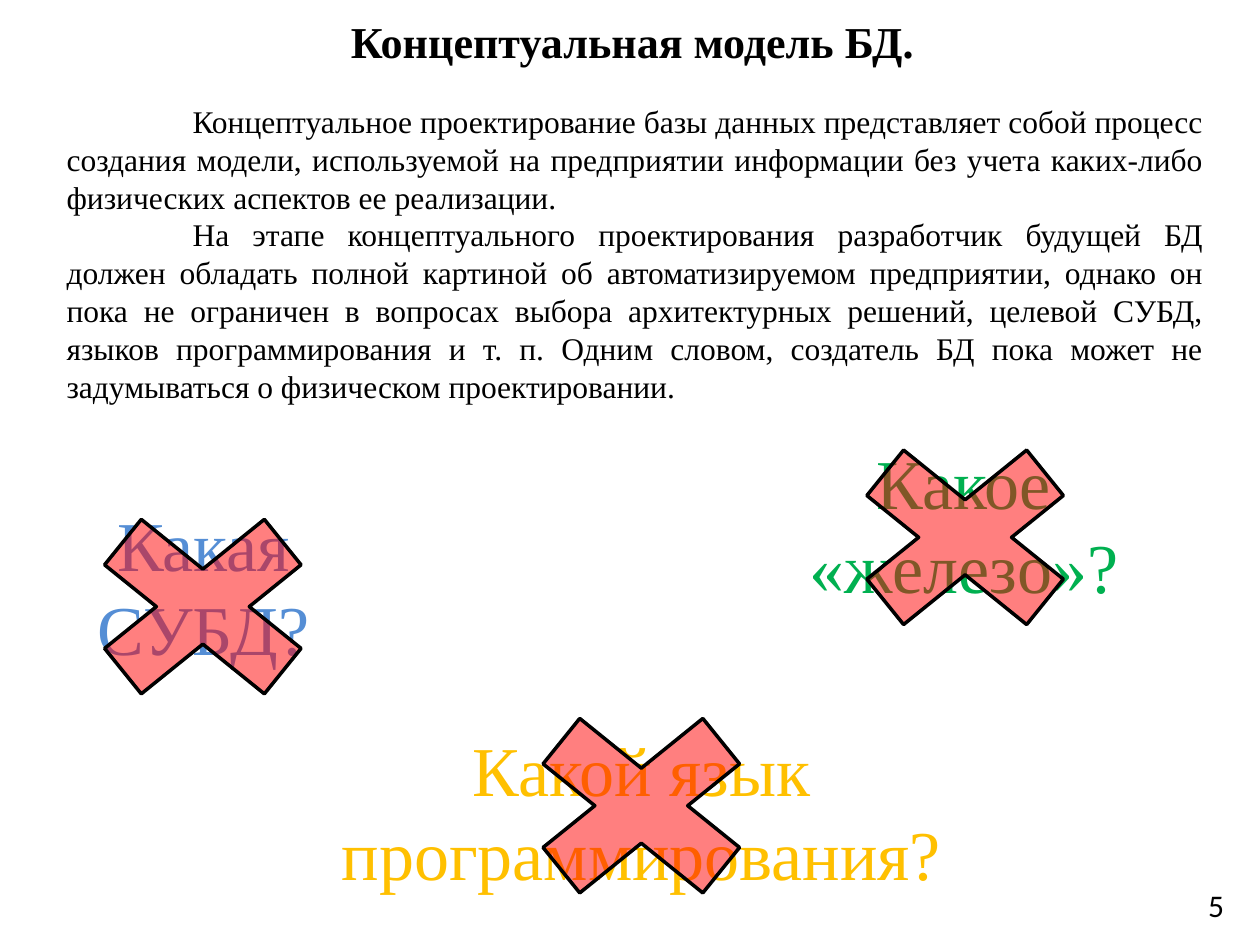
from lxml import etree
from pptx import Presentation
from pptx.dml.color import RGBColor
from pptx.enum import shapes, text
from pptx.oxml import ns
from pptx.util import Emu, Inches, Pt

COLORS = {
    "black": "000000",
    "blue": "558ED5",
    "green": "00B050",
    "amber": "FFC000",
    "red": "FF0000",
}
SERIF = "Times New Roman"

presentation = Presentation()
presentation.slide_width = Inches(10)
presentation.slide_height = Inches(7.5)
COLUMN = presentation.slide_width / 100
ROW = presentation.slide_height / 75
slide = presentation.slides.add_slide(presentation.slide_layouts[5])


def grid(left, top, width, height):
    return Emu(int(left * COLUMN)), Emu(int(top * ROW)), Emu(int(width * COLUMN)), Emu(int(height * ROW))


def write(shape, paragraphs, size, color="black", font=SERIF, bold=False,
          align=text.PP_ALIGN.CENTER, anchor=text.MSO_ANCHOR.TOP, wrap=True, indent=0):
    frame = shape.text_frame
    frame.text = "\n".join(paragraphs)
    frame.word_wrap = wrap
    frame.vertical_anchor = anchor
    for paragraph in frame.paragraphs:
        paragraph.alignment = align
        paragraph._p.get_or_add_pPr().set("indent", str(Inches(indent)))
        run_font = paragraph.runs[0].font
        run_font.name = font
        run_font.size = Pt(size)
        run_font.bold = bold
        run_font.color.rgb = RGBColor.from_string(COLORS[color])


title = slide.shapes.title
title.left, title.top, title.width, title.height = grid(2.2, 0.5, 96, 5.5)
write(title, ["Концептуальная модель БД."], size=25.2, bold=True, anchor=text.MSO_ANCHOR.MIDDLE)

page_number = slide.shapes.add_textbox(*grid(94.9, 69.8, 3.3, 4))
write(page_number, ["5"], size=18, font="Calibri", align=text.PP_ALIGN.LEFT, wrap=False)

body = slide.shapes.add_textbox(*grid(4.3, 7.6, 92.2, 25.2))
write(body, [
    "Концептуальное проектирование базы данных представляет собой процесс создания модели, "
    "используемой на предприятии информации без учета каких-либо физических аспектов ее реализации. ",
    "На этапе концептуального проектирования разработчик будущей БД должен обладать полной картиной "
    "об автоматизируемом предприятии, однако он пока не ограничен в вопросах выбора архитектурных "
    "решений, целевой СУБД, языков программирования и т. п. Одним словом, создатель БД пока может "
    "не задумываться о физическом проектировании.",
], size=18, align=text.PP_ALIGN.JUSTIFY, indent=1)

questions = [
    ("Какая СУБД?", "blue", (6.7, 39.3, 18.9), (3.9, 38.3)),
    ("Какое «железо»?", "green", (59.4, 34.4, 34.2), (64.4, 32.8)),
    ("Какой язык программирования?", "amber", (25.7, 57.2, 50.4), (38.7, 54.1)),
]
for question, color, question_place, cross_place in questions:
    question_box = slide.shapes.add_textbox(*grid(*question_place, 14.5))
    write(question_box, [question], size=40, color=color)

for question, color, question_place, cross_place in questions:
    cross = slide.shapes.add_shape(shapes.MSO_SHAPE.MATH_MULTIPLY, *grid(*cross_place, 24.4, 19.7))
    cross.shadow.inherit = False
    cross.fill.solid()
    cross.fill.fore_color.rgb = RGBColor.from_string(COLORS["red"])
    red_fill = cross._element.spPr.find(ns.qn("a:solidFill"))[0]
    etree.SubElement(red_fill, ns.qn("a:alpha")).set("val", "50000")
    cross.line.color.rgb = RGBColor.from_string(COLORS["black"])
    cross.line.width = Pt(2)

presentation.save("out.pptx")
